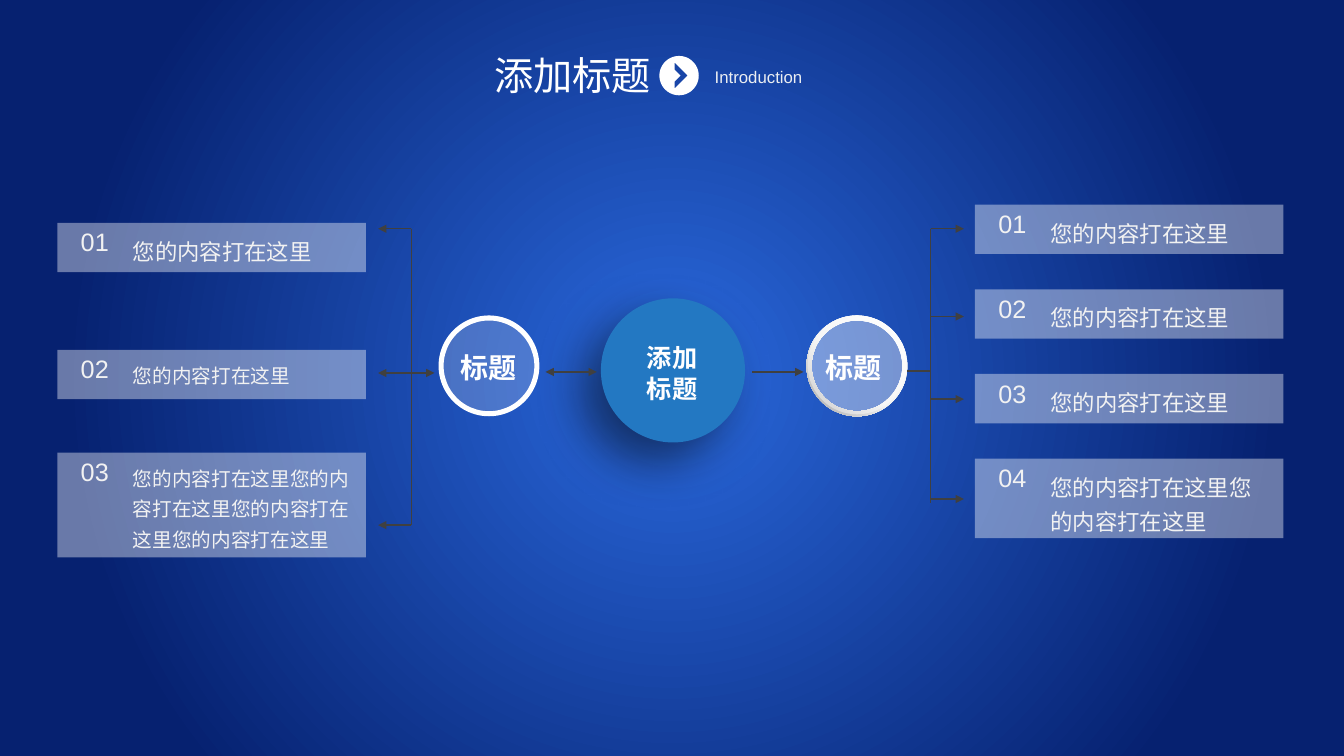
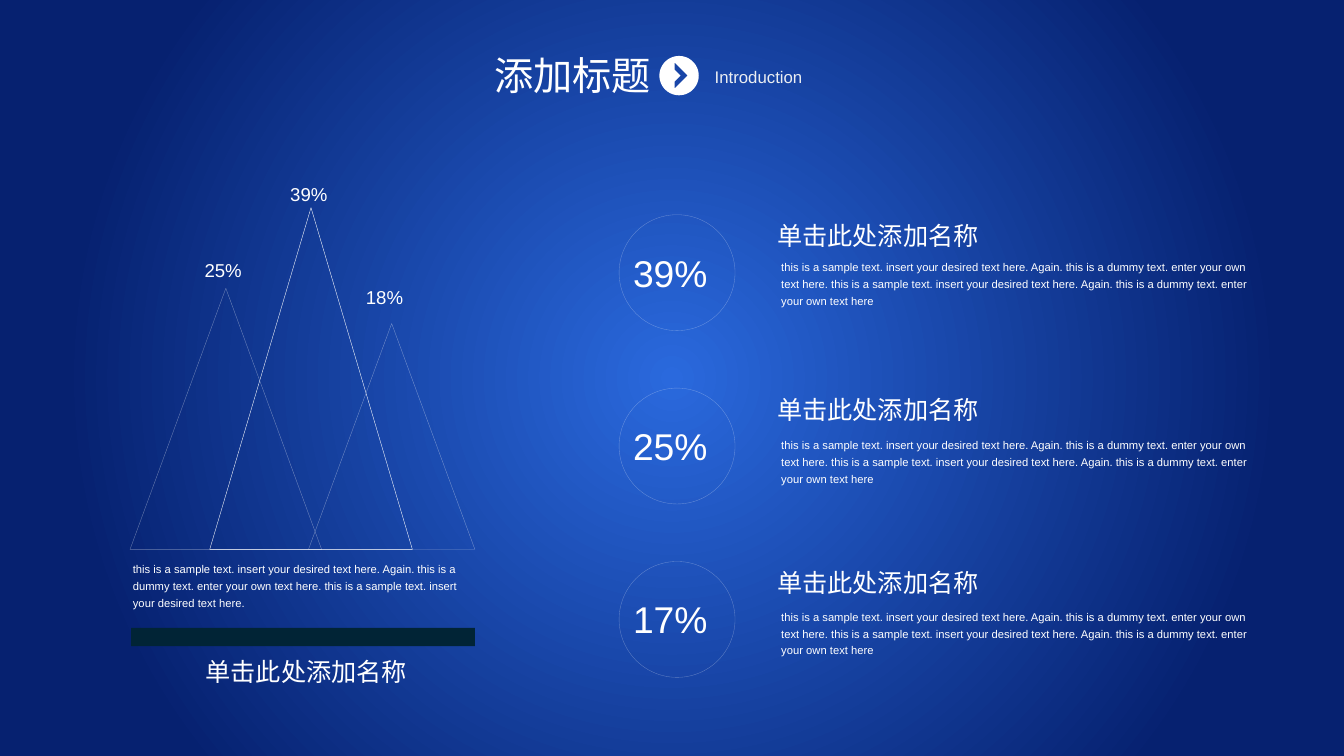
from math import cos, sin, pi
from lxml.etree import SubElement
from pptx import Presentation
from pptx.dml.color import RGBColor
from pptx.enum.shapes import MSO_CONNECTOR as Conn, MSO_SHAPE as Geo
from pptx.enum.text import MSO_AUTO_SIZE as Auto, PP_ALIGN as Align
from pptx.oxml.ns import qn
from pptx.util import Inches, Pt

FONT = "Arial"
WHITE = RGBColor(0xFF, 0xFF, 0xFF)
PALE = RGBColor(0xF2, 0xF2, 0xF2)
MIST = RGBColor(0xEB, 0xEE, 0xF2)
SILVER = RGBColor(0xA6, 0xA6, 0xA6)
GRAY = RGBColor(0x40, 0x40, 0x40)
BLACK = RGBColor(0, 0, 0)
BLUE = RGBColor(0x23, 0x78, 0xC2)
BRIGHT = RGBColor(0x2A, 0x69, 0xDD)
NAVY = RGBColor(0x06, 0x21, 0x70)
DARK = RGBColor(0x01, 0x24, 0x36)

TITLE, INTRO = "添加标题", "Introduction"
HUB = ["添加", "标题"]
SIDE = "标题"
ITEM = "您的内容打在这里"
LEFT = [(2.21, 0.49, ITEM, 16), (3.47, 0.49, ITEM, 14), (4.49, 1.04, ITEM * 4, 14)]
RIGHT = [(0.49, ITEM, 16)] * 3 + [(0.79, ITEM * 2, 16)]
STEP = 0.84
ARROWS = {
    "left": (4.08, 3.75, [2.27, 3.7, 5.21], 5.21),
    "right": (9.23, 9.56, [2.27, 3.14, 3.96, 4.95], 4.99),
}

NAME = "单击此处添加名称"
HALF = ("this is a sample text. insert your desired text here. Again. "
        "this is a dummy text. enter your own text here")
BODY = f"{HALF}. {HALF}"
NOTE = f"{HALF}. this is a sample text. insert your desired text here."
PEAKS = [
    ("25%", 1.29, 2.86, 1.9, 40, 1.93, 2.52),
    ("39%", 2.08, 2.06, 2.01, 100, 2.78, 1.77),
    ("18%", 3.06, 3.21, 1.65, 40, 3.53, 2.79),
]
BASE = 5.45
SHARES = [("39%", 2.5), ("25%", 4.27), ("17%", 5.97)]
PITCH = 1.72


def add(root, tag, **atts):
    return SubElement(root, qn(tag), {k: str(v) for k, v in atts.items()})


def fade(root, pct):
    if pct < 100:
        add(root.find(".//" + qn("a:srgbClr")), "a:alpha", val=pct * 1000)


def grad(fill, root, stops):
    fill.gradient()
    node = root.find(".//" + qn("a:gradFill"))
    for kid in list(node):
        node.remove(kid)
    row = add(node, "a:gsLst")
    for pos, tint in stops:
        add(add(row, "a:gs", pos=pos * 1000), "a:srgbClr", val=tint)
    return node


def text(slide, box, lines, size, tint=WHITE, mid=False, bold=False,
         space=None, wrap=True, inset=True):
    frame = slide.shapes.add_textbox(*map(Inches, box)).text_frame
    frame.word_wrap = wrap
    frame.auto_size = Auto.SHAPE_TO_FIT_TEXT
    if not inset:
        frame.margin_left = frame.margin_right = 0
        frame.margin_top = frame.margin_bottom = 0
    frame.text = "\n".join(lines) if isinstance(lines, list) else lines
    for para in frame.paragraphs:
        if mid:
            para.alignment = Align.CENTER
        if space:
            para.line_spacing = space
        font = para.font
        font.name, font.size, font.bold = FONT, Pt(size), bold
        font.color.rgb = tint


def shape(slide, geo, box, tint=None, pct=100, edge=None):
    item = slide.shapes.add_shape(geo, *map(Inches, box))
    item.shadow.inherit = False
    if tint is None:
        item.fill.background()
    else:
        item.fill.solid()
        item.fill.fore_color.rgb = tint
        fade(item._element.spPr, pct)
    if edge is None:
        item.line.fill.background()
    else:
        item.line.color.rgb = WHITE
        item.line.width = Pt(0.25)
        fade(item._element.spPr.find(qn("a:ln")), edge)
    return item


def line(slide, start, end, head=False, tail=False):
    wire = slide.shapes.add_connector(Conn.STRAIGHT, *map(Inches, start + end))
    wire.line.color.rgb = GRAY
    wire.line.width = Pt(1)
    props = wire._element.spPr
    pen = props.find(qn("a:ln"))
    for tag, on in (("a:headEnd", head), ("a:tailEnd", tail)):
        if on:
            add(pen, tag, type="triangle")
    add(props, "a:effectLst")


def header(slide):
    x, y, r, n = 6.735, 0.75, 0.195, 60
    ring = [(x + r * cos(2 * pi * i / n), y + r * sin(2 * pi * i / n)) for i in range(n)]
    mark = [(6.82, 0.75), (6.69, 0.88), (6.69, 0.81), (6.75, 0.75), (6.69, 0.69), (6.69, 0.62)]
    ring, mark = ([(Inches(a), Inches(b)) for a, b in pts] for pts in (ring, mark))
    pen = slide.shapes.build_freeform(*ring[0])
    pen.add_line_segments(ring[1:], close=True)
    pen.move_to(*mark[0])
    pen.add_line_segments(mark[1:], close=True)
    icon = pen.convert_to_shape()
    icon.shadow.inherit = False
    icon.fill.solid()
    icon.fill.fore_color.rgb = WHITE
    icon.line.fill.background()
    text(slide, (6.99, 0.61, 1.59, 0.3), INTRO, 12, MIST)
    text(slide, (4.37, 0.46, 2.62, 0.57), TITLE, 28, mid=True)


def card(slide, x, y, h, num, words, size):
    shape(slide, Geo.RECTANGLE, (x, y, 3.06, h), WHITE, 40)
    text(slide, (x - 0.08, y - 0.01, 0.9, 0.4), f"{num:02}", 18, PALE, mid=True)
    text(slide, (x + 0.65, y + 0.02, 2.41, h - 0.07), words, size, PALE, space=1.3)


def badge(slide, x, pct, left):
    ring = shape(slide, Geo.DONUT, (x, 3.13, 1, 1), WHITE)
    ring.adjustments[0] = 0.05
    shape(slide, Geo.OVAL, (x + 0.01, 3.13, 0.98, 0.98), WHITE, pct)
    text(slide, (left, 3.38, 0.84, 0.4), SIDE, 20, mid=True, bold=True, space=1.3, inset=False)
    return ring


def tree(slide):
    header(slide)
    hub = shape(slide, Geo.OVAL, (5.96, 2.96, 1.43, 1.43), BLUE)
    glow = add(hub._element.spPr.find(qn("a:effectLst")), "a:outerShdw",
               blurRad=Pt(35), dist=Pt(20), dir=135 * 60000, algn="tr", rotWithShape=0)
    add(glow, "a:srgbClr", val=BLACK)
    fade(glow, 50)
    text(slide, (5.94, 3.4, 1.45, 0.61), HUB, 18, mid=True, bold=True, inset=False)
    for num, (y, h, words, size) in enumerate(LEFT, 1):
        card(slide, 0.57, y, h, num, words, size)
    badge(slide, 4.35, 20, 4.43)
    ring = badge(slide, 8, 40, 8.05)
    node = grad(ring.fill, ring._element.spPr, [(0, WHITE), (55, PALE), (100, SILVER)])
    add(node, "a:lin", ang=135 * 60000, scaled=0)
    for i, (h, words, size) in enumerate(RIGHT):
        card(slide, 9.67, 2.03 + i * STEP, h, i + 1, words, size)
    line(slide, (5.41, 3.69), (5.92, 3.69), head=True, tail=True)
    line(slide, (7.46, 3.69), (7.97, 3.69), tail=True)
    for stem, tip, rows, foot in ARROWS.values():
        for y in rows:
            line(slide, (stem, y), (tip, y), tail=True)
        line(slide, (stem, rows[0]), (stem, foot))
    line(slide, (9, 3.68), (9.23, 3.68))
    line(slide, (4.31, 3.7), (4.08, 3.7), head=True)


def peaks(slide):
    header(slide)
    for share, x, y, w, edge, left, top in PEAKS:
        shape(slide, Geo.ISOSCELES_TRIANGLE, (x, y, w, BASE - y), edge=edge)
        text(slide, (left, top, 0.59, 0.33), share, 13.3, wrap=False)
    for i, (share, top) in enumerate(SHARES):
        y = 2.13 + i * PITCH
        shape(slide, Geo.OVAL, (6.14, y, 1.15, 1.15), edge=30)
        text(slide, (6.18, y + 0.3, 0.98, 0.55), share, 26.6, wrap=False)
        text(slide, (7.65, top, 5.01, 0.59), BODY, 8, space=Pt(12))
        text(slide, (7.61, y + 0.01, 2.2, 0.4), NAME, 18, wrap=False)
    text(slide, (1.22, 5.5, 3.64, 0.61), NOTE, 8, space=Pt(12))
    shape(slide, Geo.RECTANGLE, (1.3, 6.23, 3.41, 0.18), DARK)
    text(slide, (1.94, 6.46, 2.2, 0.4), NAME, 18, wrap=False)


def main():
    prs = Presentation()
    prs.slide_width, prs.slide_height = Inches(13.33), Inches(7.5)
    base = prs.slide_master
    node = grad(base.background.fill, base._element, [(0, BRIGHT), (79, NAVY), (100, NAVY)])
    add(add(node, "a:path", path="circle"), "a:fillToRect", l=50000, t=50000, r=50000, b=50000)
    for draw in (tree, peaks):
        draw(prs.slides.add_slide(prs.slide_layouts[6]))
    prs.save("out.pptx")


if __name__ == "__main__":
    main()
